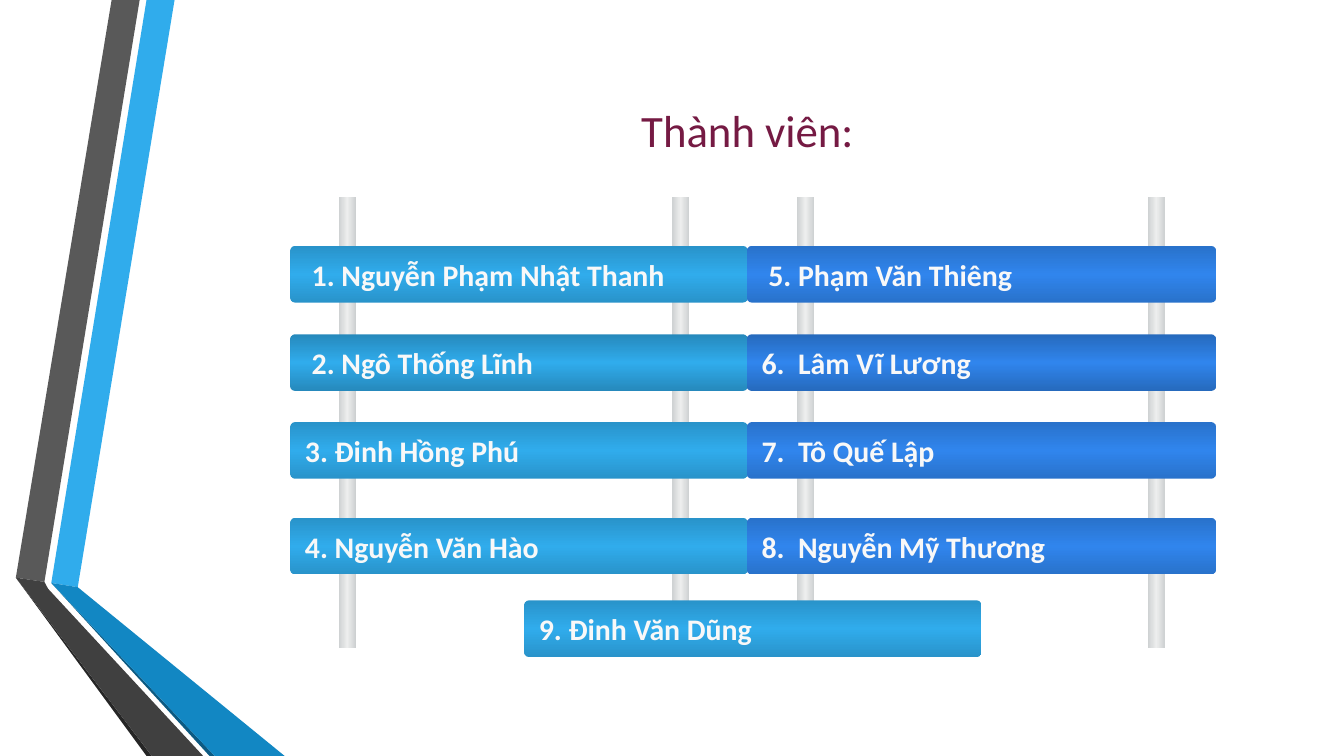
from copy import deepcopy
from pptx import Presentation
from pptx.dml.color import RGBColor
from pptx.enum.shapes import MSO_SHAPE
from pptx.enum.text import MSO_ANCHOR, PP_ALIGN
from pptx.oxml.ns import qn
from pptx.util import Cm, Pt

SKY = RGBColor(0x30, 0xAC, 0xEC)
SKY_EDGE = RGBColor(0x29, 0x93, 0xCA)
SKY_DEEP = RGBColor(0x26, 0x89, 0xBC)
BLUE = RGBColor(0x30, 0x85, 0xED)
BLUE_EDGE = RGBColor(0x29, 0x72, 0xCB)
BLUE_DEEP = RGBColor(0x26, 0x6A, 0xBD)
RAIL = RGBColor(0xED, 0xEE, 0xEE)
RAIL_EDGE = RGBColor(0xCD, 0xD0, 0xD1)
PLUM = RGBColor(0x75, 0x1A, 0x43)
PALE = RGBColor(0xF8, 0xF8, 0xF8)
FONT = "Calibri"
WIDTH, HEIGHT = 25.4, 14.29

# Corner points in cm
BANDS = [
    (SKY, [(0.97, 11.02), (1.47, 11.1), (3.3, 0), (2.77, 0)]),
    (RGBColor(0x59, 0x59, 0x59), [(2.64, 0), (2.11, 0), (0.3, 10.92), (0.84, 11)]),
    (RGBColor(0x26, 0x26, 0x26), [(0.3, 10.92), (2.77, HEIGHT), (2.87, HEIGHT)]),
    (RGBColor(0x0C, 0x5A, 0x82), [(0.97, 11.02), (3.96, HEIGHT), (4.06, HEIGHT)]),
    (RGBColor(0x12, 0x87, 0xC3),
     [(0.97, 11.02), (4.06, HEIGHT), (5.38, HEIGHT), (1.47, 11.1)]),
    (RGBColor(0x40, 0x40, 0x40),
     [(3.84, HEIGHT), (0.91, 11.13), (0.84, 11), (0.3, 10.92), (2.87, HEIGHT)]),
]

TITLE = "Thành viên:"
RAILS = [6.4, 12.7, 15.06, 21.69]
ROWS = [4.65, 6.32, 7.98, 9.79]
DEEP_ROW = 1
# Left, width, middle, edge and deep edge colours, names
COLUMNS = [
    (5.49, 8.64, SKY, SKY_EDGE, SKY_DEEP,
     [" 1. Nguyễn Phạm Nhật Thanh", " 2. Ngô Thống Lĩnh",
      "3. Đinh Hồng Phú", "4. Nguyễn Văn Hào"]),
    (14.12, 8.86, BLUE, BLUE_EDGE, BLUE_DEEP,
     [" 5. Phạm Văn Thiêng", "6.  Lâm Vĩ Lương",
      "7.  Tô Quế Lập", "8.  Nguyễn Mỹ Thương"]),
]
LAST = "9. Đinh Văn Dũng"


def style(para, size, color, bold=False):
    font = para.font
    font.name, font.size, font.bold = FONT, Pt(size), bold
    font.color.rgb = color


def add_band(slide, color, points):
    spots = [(Cm(x), Cm(y)) for x, y in points]
    pen = slide.shapes.build_freeform(*spots[0])
    pen.add_line_segments(spots[1:], close=True)
    band = pen.convert_to_shape()
    band.shadow.inherit = False
    band.fill.solid()
    band.fill.fore_color.rgb = color
    band.line.fill.background()


def add_glossy(slide, kind, box, edge, middle, angle):
    """Add a shape whose gradient runs edge, middle, edge."""
    shape = slide.shapes.add_shape(kind, *map(Cm, box))
    shape.shadow.inherit = False
    shape.line.fill.background()
    fill = shape.fill
    fill.gradient()
    fill.gradient_angle = angle
    stops = next(shape.element.iter(qn("a:gsLst")))
    stops.insert(1, deepcopy(stops[0]))
    for stop, spot, color in zip(fill.gradient_stops, (0, 0.5, 1), (edge, middle, edge)):
        stop.position = spot
        stop.color.rgb = color
    return shape


def add_bar(slide, left, top, width, edge, middle, text):
    bar = add_glossy(slide, MSO_SHAPE.ROUNDED_RECTANGLE,
                     (left, top, width, 1.07), edge, middle, 90)
    bar.adjustments[0] = 0.08
    frame = bar.text_frame
    frame.word_wrap = True
    frame.vertical_anchor = MSO_ANCHOR.MIDDLE
    para = frame.paragraphs[0]
    para.text = text
    para.alignment = PP_ALIGN.LEFT
    style(para, 16, PALE, True)


def add_title(slide):
    frame = slide.shapes.add_textbox(Cm(5.59), Cm(0.81), Cm(17.07), Cm(2.39)).text_frame
    frame.word_wrap = True
    frame.vertical_anchor = MSO_ANCHOR.BOTTOM
    frame.margin_top = frame.margin_bottom = Cm(0.25)
    para = frame.paragraphs[0]
    para.text = TITLE
    para.alignment = PP_ALIGN.CENTER
    style(para, 24, PLUM)


def main():
    deck = Presentation()
    deck.slide_width, deck.slide_height = Cm(WIDTH), Cm(HEIGHT)
    slide = deck.slides.add_slide(deck.slide_layouts[6])
    for color, points in BANDS:
        add_band(slide, color, points)
    add_title(slide)
    for left in RAILS:
        add_glossy(slide, MSO_SHAPE.RECTANGLE, (left, 3.73, 0.33, 8.52),
                   RAIL_EDGE, RAIL, 0)
    for left, width, middle, edge, deep, names in COLUMNS:
        for row, (top, name) in enumerate(zip(ROWS, names)):
            rim = deep if row == DEEP_ROW else edge
            add_bar(slide, left, top, width, rim, middle, name)
    add_bar(slide, 9.91, 11.35, 8.64, SKY_EDGE, SKY, LAST)
    deck.save("out.pptx")


if __name__ == "__main__":
    main()
